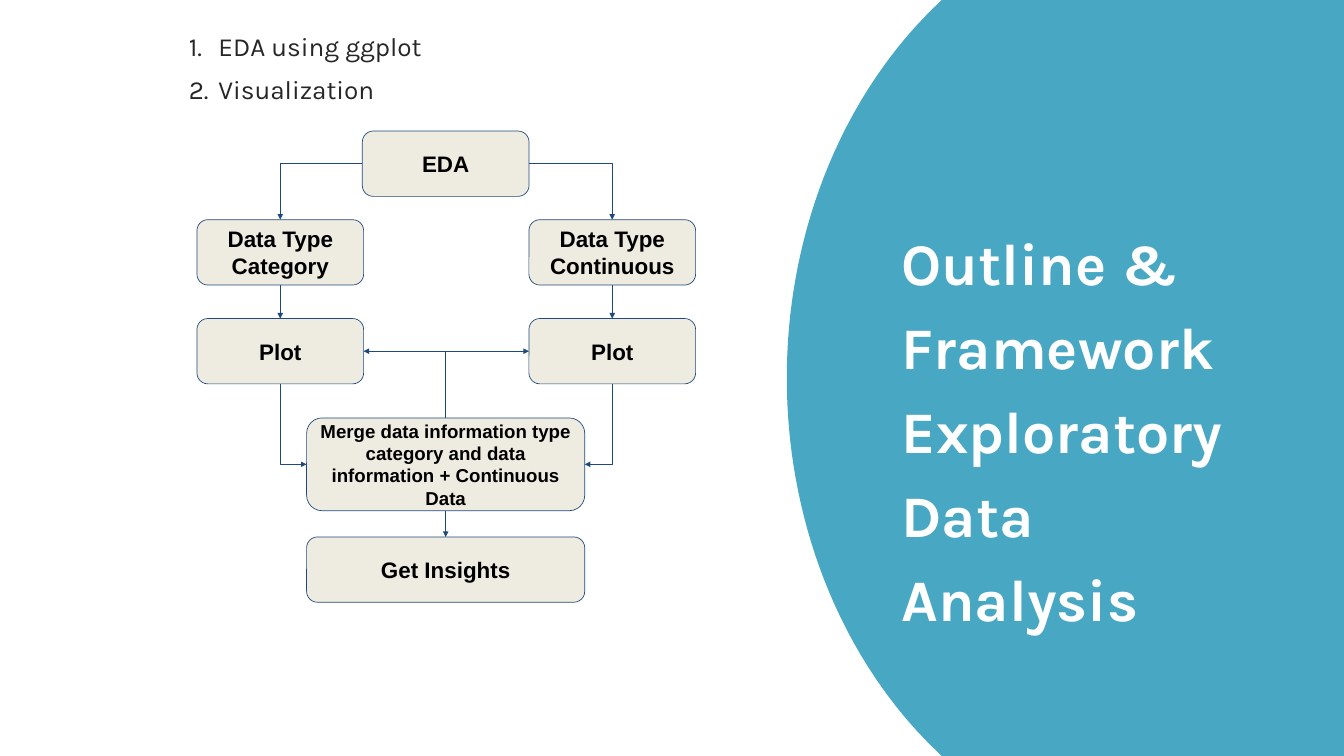
import math
import pptx
import pptx.util
import pptx.dml.color
import pptx.enum.shapes
import pptx.enum.text
import pptx.oxml
import pptx.oxml.ns
import lxml.etree

Pt = pptx.util.Pt
qn = pptx.oxml.ns.qn
Anchor = pptx.enum.text.MSO_ANCHOR
Align = pptx.enum.text.PP_ALIGN
Kind = pptx.enum.shapes.MSO_SHAPE
Wire = pptx.enum.shapes.MSO_CONNECTOR
hues = {"panel": "48A8C4", "white": "FFFFFF", "text": "262626",
        "box": "EEECE1", "line": "1F497D", "black": "000000"}


def color(name):
    return pptx.dml.color.RGBColor.from_string(hues[name])


def style(para, face, size, hue, bold):
    for run in para.runs:
        run.font.name = face
        run.font.size = Pt(size)
        run.font.bold = bold
        run.font.color.rgb = color(hue)


deck = pptx.Presentation()
deck.slide_width, deck.slide_height = Pt(1440), Pt(810)
slide = deck.slides.add_slide(deck.slide_layouts[5])
shapes = slide.shapes

wide, tall, left, mid = 432, 514, 843, 405
arc = []
for step in range(61):
    y = 810 - step * 13.5
    x = left + wide * (1 - math.sqrt(1 - ((y - mid) / tall) ** 2))
    arc.append((Pt(x), Pt(y)))
pen = shapes.build_freeform(Pt(1440), Pt(810), scale=1.0)
pen.add_line_segments(arc + [(Pt(1440), 0)], close=True)
panel = pen.convert_to_shape()
panel.shadow.inherit = False
panel.fill.solid()
panel.fill.fore_color.rgb = color("panel")
panel.line.fill.background()
shapes._spTree.insert(2, panel._element)

title = shapes.title
title.left, title.top, title.width, title.height = Pt(966), Pt(224), Pt(400), Pt(353)
frame = title.text_frame
frame.text = "Outline & Framework\nExploratory Data Analysis"
frame.word_wrap = True
frame.auto_size = pptx.enum.text.MSO_AUTO_SIZE.SHAPE_TO_FIT_TEXT
frame.vertical_anchor = Anchor.TOP
frame.margin_left = frame.margin_right = frame.margin_bottom = 0
frame.margin_top = Pt(4.3)
for para in frame.paragraphs:
    para.alignment = Align.LEFT
    para.line_spacing = 1.19
    style(para, "Karla", 63, "white", True)

frame = shapes.add_textbox(Pt(198), Pt(18.7), Pt(648), Pt(141)).text_frame
frame.text = "EDA using ggplot\nVisualization"
frame.word_wrap = True
frame.margin_left = frame.margin_right = frame.margin_bottom = 0
frame.margin_top = Pt(0.7)
for para in frame.paragraphs:
    para.line_spacing = 1.38
    props = para._p.get_or_add_pPr()
    props.set("marL", str(Pt(36)))
    props.set("indent", str(Pt(-31.7)))
    tint = lxml.etree.SubElement(props, qn("a:buClr"))
    lxml.etree.SubElement(tint, qn("a:srgbClr"), val=hues["text"])
    lxml.etree.SubElement(props, qn("a:buFont"), typeface="Karla")
    lxml.etree.SubElement(props, qn("a:buAutoNum"), type="arabicPeriod")
    style(para, "Karla", 28, "text", False)

low, core, high = 300.3, 477.5, 656
nodes = [
    ("eda", "EDA", core, 140.4, 178.6, 70, 24),
    ("cat", "Data Type Category", low, 235.4, 178.6, 70, 24),
    ("cont", "Data Type Continuous", high, 235.4, 178.6, 70, 24),
    ("plot1", "Plot", low, 341.3, 178.6, 70, 24),
    ("plot2", "Plot", high, 341.3, 178.6, 70, 24),
    ("end", "Get Insights", core, 575.3, 298, 70, 24),
    ("merge", "Merge data information type category and data information + Continuous Data",
     core, 447.8, 298, 99.4, 20),
]
boxes = {}
for key, label, x, y, w, h, size in nodes:
    box = shapes.add_shape(Kind.ROUNDED_RECTANGLE, Pt(x - w / 2), Pt(y), Pt(w), Pt(h))
    box.shadow.inherit = False
    box.fill.solid()
    box.fill.fore_color.rgb = color("box")
    box.line.color.rgb = color("line")
    box.line.width = Pt(0.75)
    frame = box.text_frame
    frame.text = label
    frame.word_wrap = True
    frame.vertical_anchor = Anchor.MIDDLE
    frame.margin_left = frame.margin_right = Pt(7.2)
    frame.margin_top = frame.margin_bottom = Pt(7.2)
    frame.paragraphs[0].alignment = Align.CENTER
    style(frame.paragraphs[0], "Arial", size, "black", True)
    boxes[key] = box

top, west, base, east = range(4)
links = [
    ("eda", west, "cat", top, "tailEnd"),
    ("eda", east, "cont", top, "tailEnd"),
    ("cat", base, "plot1", top, "tailEnd"),
    ("cont", base, "plot2", top, "tailEnd"),
    ("merge", west, "plot1", base, "headEnd"),
    ("merge", east, "plot2", base, "headEnd"),
    ("plot1", east, "merge", top, "headEnd"),
    ("plot2", west, "merge", top, "headEnd"),
    ("merge", base, "end", top, "tailEnd"),
]
for start, out, stop, into, tip in links:
    bent = out in (west, east)
    link = shapes.add_connector(Wire.ELBOW if bent else Wire.STRAIGHT, 0, 0, 0, 0)
    link.begin_connect(boxes[start], out)
    link.end_connect(boxes[stop], into)
    link.line.color.rgb = color("line")
    link.line.width = Pt(0.75)
    props = link._element.spPr
    if bent:
        props.find(qn("a:prstGeom")).set("prst", "bentConnector2")
    lxml.etree.SubElement(props.find(qn("a:ln")), qn("a:" + tip), type="triangle")
    lxml.etree.SubElement(props, qn("a:effectLst"))

deck.save("out.pptx")
